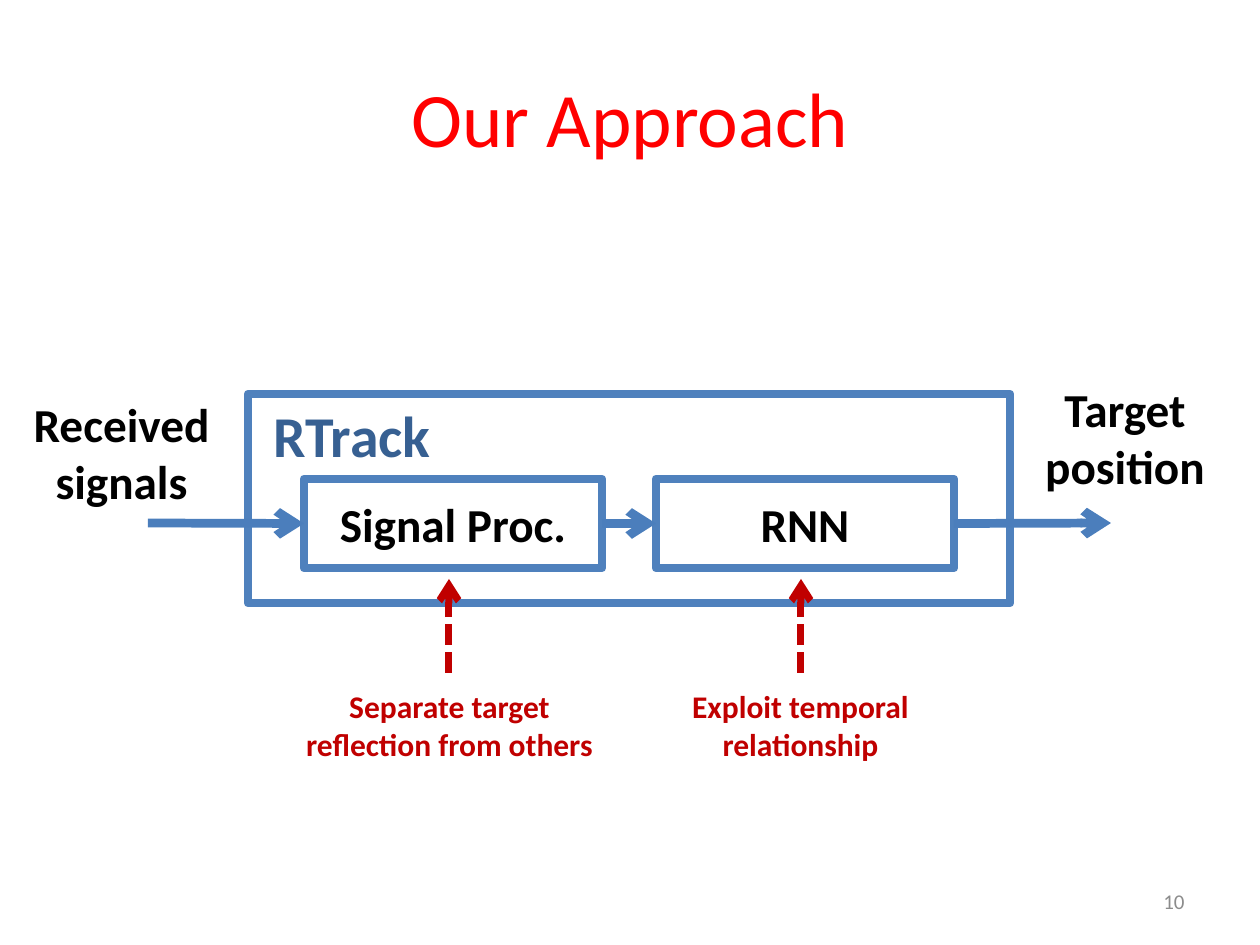
from dataclasses import dataclass

from pptx import Presentation
from pptx.dml.color import RGBColor
from pptx.enum.dml import MSO_LINE
from pptx.enum.shapes import MSO_CONNECTOR, MSO_SHAPE
from pptx.enum.text import MSO_ANCHOR, PP_ALIGN
from pptx.oxml.ns import qn
from pptx.util import Emu, Pt
from lxml.etree import SubElement

PX_PER_INCH = 126
FONT = "Calibri"
BLUE, ARROW_BLUE, DARK_BLUE = "4F81BD", "4B7EBC", "376092"
RED, DARK_RED, BLACK, GREY = "FF0000", "C00000", "000000", "8C8C8C"
BOX_TOP, BOX_W, BOX_H = 479, 298, 89
FLOW_Y = 523


@dataclass
class Label:
    text: str
    x: int
    y: int
    w: int
    h: int
    size: int
    color: str = BLACK
    bold: bool = True
    align: PP_ALIGN = PP_ALIGN.CENTER
    anchor: MSO_ANCHOR = MSO_ANCHOR.TOP
    wrap: bool = True


@dataclass
class Stage:
    name: str
    x: int
    note: str
    note_x: int
    arrow_x: int


LABELS = [
    Label("Our Approach", 63, 38, 1134, 158, 44, RED, False, anchor=MSO_ANCHOR.MIDDLE),
    Label("10", 903, 876, 294, 50, 12, GREY, False, PP_ALIGN.RIGHT, MSO_ANCHOR.MIDDLE),
    Label("RTrack", 261, 394, 184, 83, 33, DARK_BLUE, align=PP_ALIGN.LEFT, wrap=False),
    Label("Received signals", 10, 389, 223, 127, 27),
    Label("Target position", 1026, 374, 198, 127, 27),
]
STAGES = [
    Stage("Signal Proc.", 304, "Separate target reflection from others", 284, 449),
    Stage("RNN", 656, "Exploit temporal relationship", 635, 801),
]


def px(n: int) -> Emu:
    return Emu(round(n * 914400 / PX_PER_INCH))


def rgb(color: str) -> RGBColor:
    return RGBColor.from_string(color)


def write(sp, text: str, size: int, color: str, bold: bool, align: PP_ALIGN) -> None:
    p = sp.text_frame.paragraphs[0]
    p.text = text
    p.alignment = align
    for r in p.runs:
        r.font.name = FONT
        r.font.size = Pt(size)
        r.font.bold = bold
        r.font.color.rgb = rgb(color)


def add_label(s, label: Label) -> None:
    sp = s.shapes.add_textbox(px(label.x), px(label.y), px(label.w), px(label.h))
    sp.text_frame.word_wrap = label.wrap
    sp.text_frame.vertical_anchor = label.anchor
    write(sp, label.text, label.size, label.color, label.bold, label.align)


def add_box(s, x: int, y: int, w: int, h: int):
    sp = s.shapes.add_shape(MSO_SHAPE.RECTANGLE, px(x), px(y), px(w), px(h))
    sp.shadow.inherit = False
    sp.fill.background()
    sp.line.color.rgb = rgb(BLUE)
    sp.line.width = Pt(5)
    return sp


def add_stage(s, stage: Stage):
    sp = add_box(s, stage.x, BOX_TOP, BOX_W, BOX_H)
    sp.text_frame.vertical_anchor = MSO_ANCHOR.MIDDLE
    write(sp, stage.name, 27, BLACK, True, PP_ALIGN.CENTER)
    return sp


def add_arrow(s, x1: int, y1: int, x2: int, y2: int, color: str, width: int, dashed: bool = False):
    cxn = s.shapes.add_connector(MSO_CONNECTOR.STRAIGHT, px(x1), px(y1), px(x2), px(y2))
    cxn.line.color.rgb = rgb(color)
    cxn.line.width = Pt(width)
    if dashed:
        cxn.line.dash_style = MSO_LINE.SQUARE_DOT
    SubElement(cxn.line._get_or_add_ln(), qn("a:tailEnd"), type="arrow")
    SubElement(cxn._element.spPr, qn("a:effectLst"))
    return cxn


def add_flow(s, x1: int, x2: int, source=None, target=None) -> None:
    cxn = add_arrow(s, x1, FLOW_Y, x2, FLOW_Y, ARROW_BLUE, 5)
    if source is not None:
        cxn.begin_connect(source, 3)
    if target is not None:
        cxn.end_connect(target, 1)


def main() -> None:
    prs = Presentation()
    prs.slide_width, prs.slide_height = px(1260), px(945)
    s = prs.slides.add_slide(prs.slide_layouts[6])

    add_box(s, 248, 394, 762, 209)
    signal, rnn = [add_stage(s, stage) for stage in STAGES]
    for label in LABELS:
        add_label(s, label)

    first, second = STAGES
    add_flow(s, 148, first.x, target=signal)
    add_flow(s, first.x + BOX_W, second.x, signal, rnn)
    add_flow(s, second.x + BOX_W, 1111, source=rnn)

    for stage in STAGES:
        add_label(s, Label(stage.note, stage.note_x, 681, 331, 89, 18, DARK_RED))
        add_arrow(s, stage.arrow_x, 673, stage.arrow_x, 579, DARK_RED, 4, dashed=True)

    prs.save("out.pptx")


if __name__ == "__main__":
    main()
